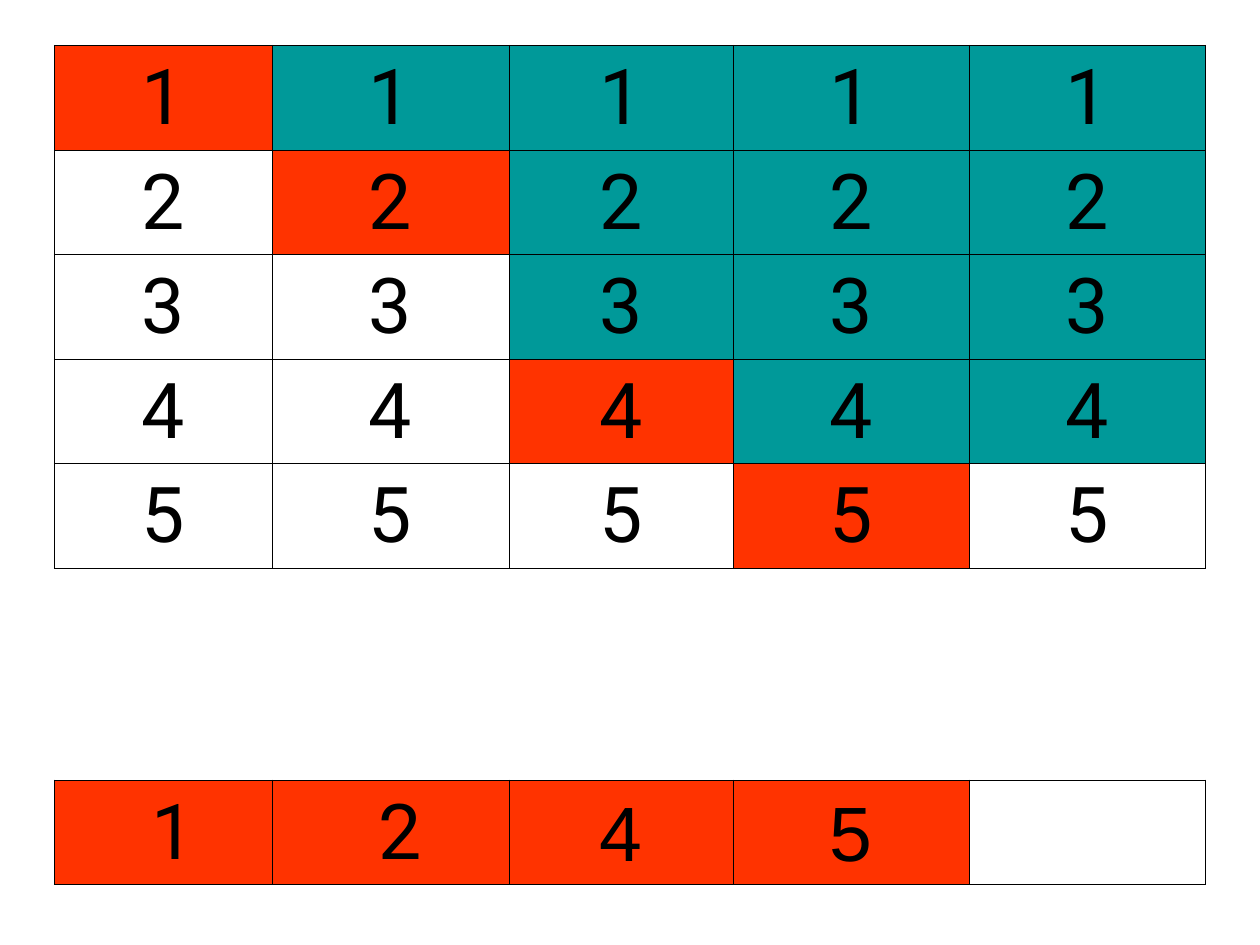
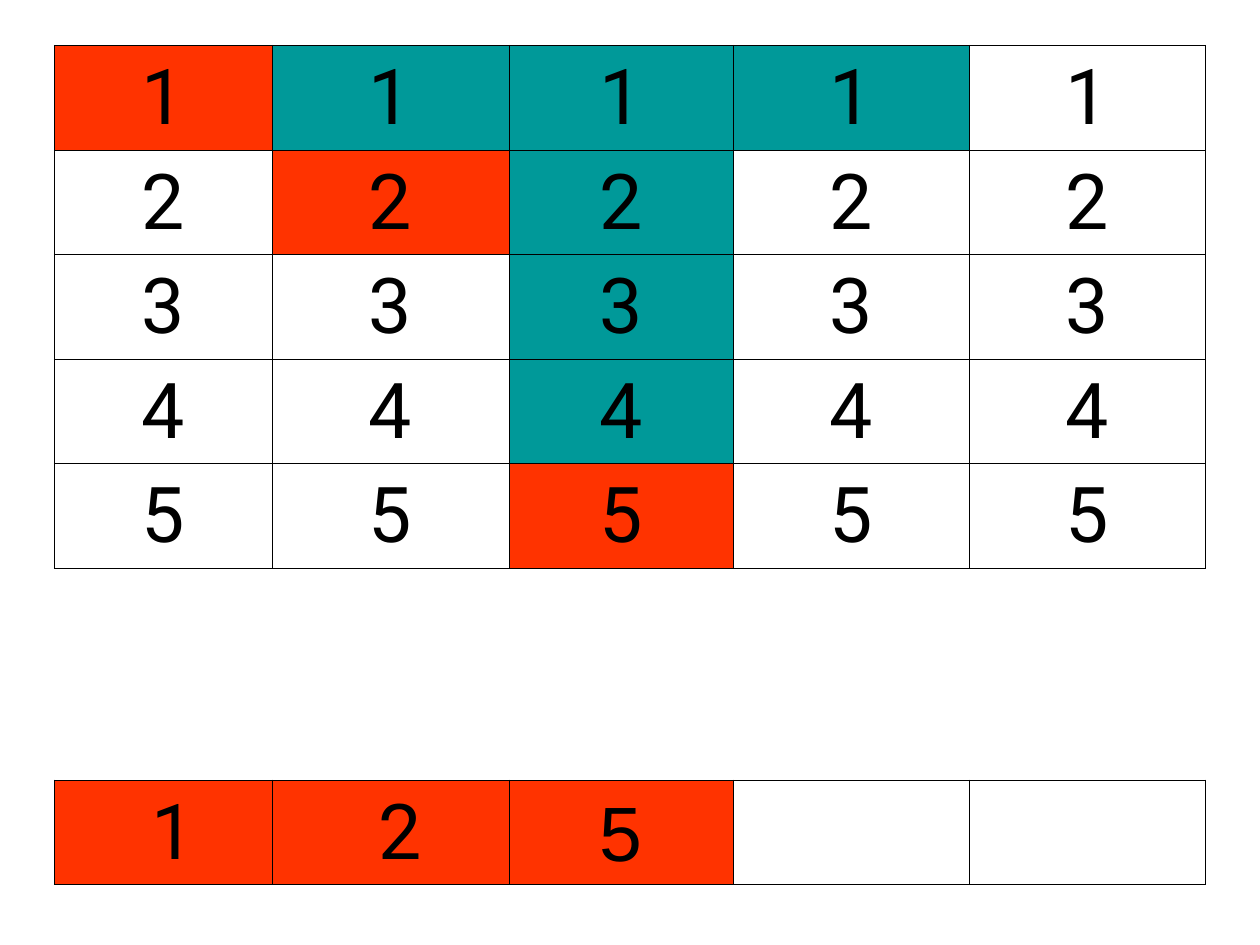
"""Build two slides that show a table of candidate numbers and the chosen sequence."""
import dataclasses

import lxml.etree
import pptx
import pptx.dml.color
import pptx.enum.text
import pptx.oxml.ns
import pptx.util


@dataclasses.dataclass(frozen=True)
class Theme:
    """Colours, type and line sizes shared by both slides."""
    chosen: str = "FF3300"
    covered: str = "009999"
    plain: str = "FFFFFF"
    ink: str = "000000"
    number_font: str = "Roboto"
    result_font: str = "Arial"
    number_size: int = 44
    border_width: float = 0.45


THEME = Theme()
FILLS = {"R": THEME.chosen, "T": THEME.covered, "W": THEME.plain}
SLIDE_WIDTH, SLIDE_HEIGHT = 10, 7.5
GRID_LEFT, GRID_TOP = 0.43, 0.36
COLUMN_WIDTHS = [1.73, 1.88, 1.78, 1.87, 1.88]
NUMBER_ROW, GAP_ROW = 0.83, 1.68
ROW_HEIGHTS = [NUMBER_ROW] * 5 + [GAP_ROW, NUMBER_ROW]

STEPS = [
    (["RTTTT", "WRTTT", "WWTTT", "WWRTT", "WWWRW"], [" 1", " 2", "4", "5"]),
    (["RTTTW", "WRTWW", "WWTWW", "WWTWW", "WWRWW"], [" 1", " 2", "5"]),
]


def set_borders(cell, sides):
    """Draw the named sides (from L, R, T, B) and clear the others."""
    properties = cell._tc.get_or_add_tcPr()
    for side in "LRTB":
        border = lxml.etree.SubElement(
            properties, pptx.oxml.ns.qn(f"a:ln{side}"),
            w=str(int(pptx.util.Pt(THEME.border_width))))
        if side in sides:
            fill = lxml.etree.SubElement(border, pptx.oxml.ns.qn("a:solidFill"))
            lxml.etree.SubElement(fill, pptx.oxml.ns.qn("a:srgbClr"), val=THEME.ink)
        else:
            lxml.etree.SubElement(border, pptx.oxml.ns.qn("a:noFill"))


def write_number(cell, number, font_name):
    """Centre a number at the foot of its cell."""
    cell.vertical_anchor = pptx.enum.text.MSO_ANCHOR.BOTTOM
    paragraph = cell.text_frame.paragraphs[0]
    paragraph.alignment = pptx.enum.text.PP_ALIGN.CENTER
    run = paragraph.add_run()
    run.text = number
    run.font.name = font_name
    run.font.size = pptx.util.Pt(THEME.number_size)
    run.font.color.rgb = pptx.dml.color.RGBColor.from_string(THEME.ink)


def style_number_cell(cell, colour, number="", font_name=THEME.number_font):
    """Frame and fill a cell, and write its number if it has one."""
    set_borders(cell, "LRTB")
    cell.fill.solid()
    cell.fill.fore_color.rgb = pptx.dml.color.RGBColor.from_string(colour)
    if number:
        write_number(cell, number, font_name)


def add_grid(slide):
    """Add the unstyled table with its column widths and row heights."""
    inches = pptx.util.Inches
    grid = slide.shapes.add_table(
        len(ROW_HEIGHTS), len(COLUMN_WIDTHS), inches(GRID_LEFT), inches(GRID_TOP),
        inches(sum(COLUMN_WIDTHS)), inches(sum(ROW_HEIGHTS))).table
    grid.first_row = grid.horz_banding = False
    for column, width in zip(grid.columns, COLUMN_WIDTHS):
        column.width = inches(width)
    for row, height in zip(grid.rows, ROW_HEIGHTS):
        row.height = inches(height)
    return grid


def add_step(presentation, candidates, sequence):
    """Add a slide with the candidate rows, a gap and the chosen sequence."""
    grid = add_grid(presentation.slides.add_slide(presentation.slide_layouts[6]))
    for row, states in enumerate(candidates):
        for column, state in enumerate(states):
            style_number_cell(grid.cell(row, column), FILLS[state], str(row + 1))

    gap_row = len(candidates)
    for column in range(len(COLUMN_WIDTHS)):
        gap = grid.cell(gap_row, column)
        set_borders(gap, "TB")
        gap.fill.background()

        result = grid.cell(gap_row + 1, column)
        if column < len(sequence):
            font_name = THEME.number_font if column < 2 else THEME.result_font
            style_number_cell(result, THEME.chosen, sequence[column], font_name)
        else:
            style_number_cell(result, THEME.plain)


def main():
    """Build and save the presentation."""
    presentation = pptx.Presentation()
    presentation.slide_width = pptx.util.Inches(SLIDE_WIDTH)
    presentation.slide_height = pptx.util.Inches(SLIDE_HEIGHT)
    for candidates, sequence in STEPS:
        add_step(presentation, candidates, sequence)
    presentation.save("out.pptx")


if __name__ == "__main__":
    main()
